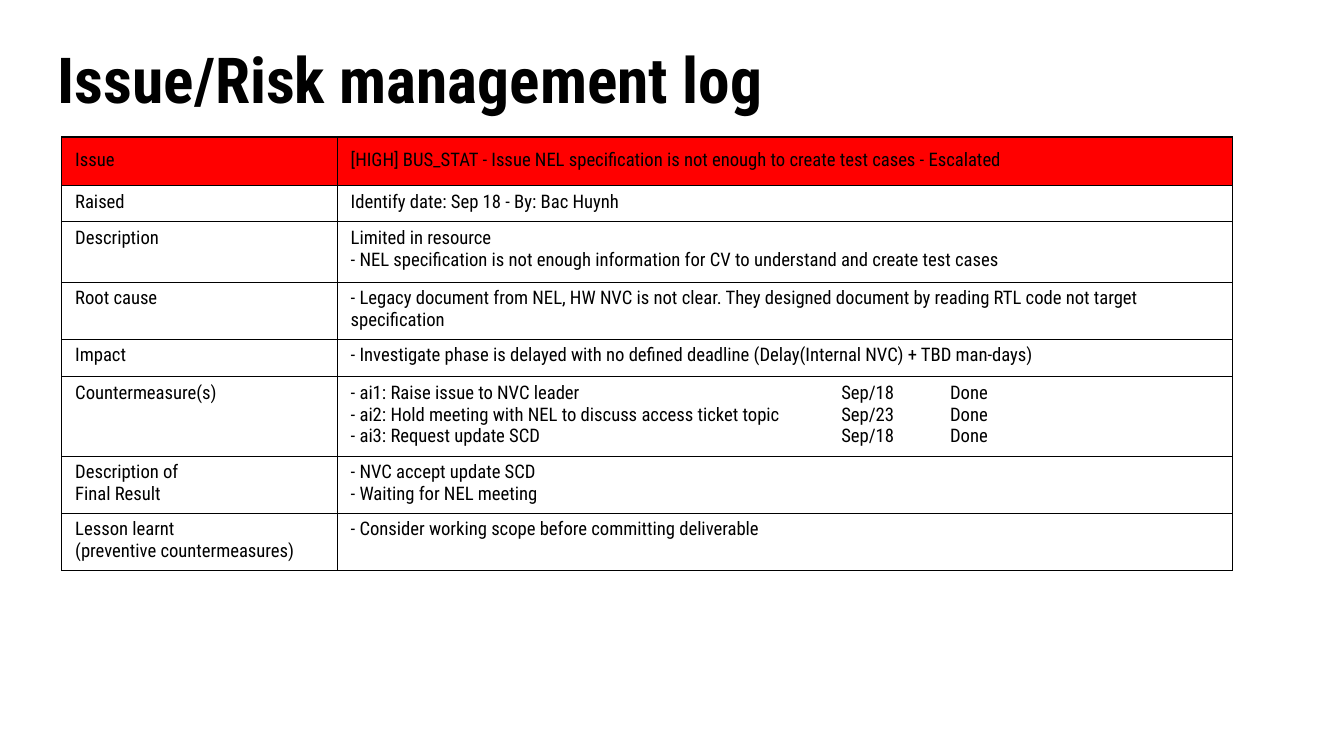
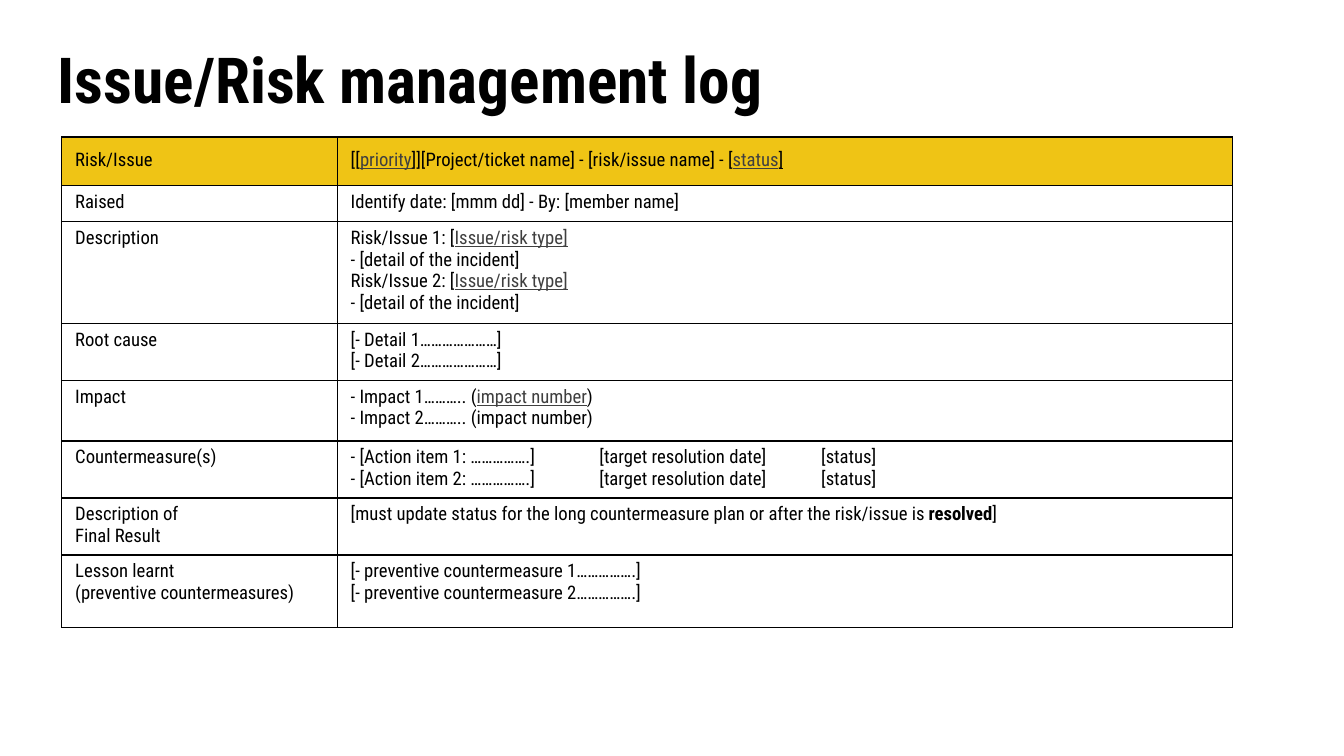
"""Build two issue and risk log slides."""
from dataclasses import dataclass
from typing import NamedTuple

import lxml.etree
import pptx
import pptx.dml.color
import pptx.enum.text
import pptx.oxml.ns
import pptx.util

Inches = pptx.util.Inches
Pt = pptx.util.Pt
Color = pptx.dml.color.RGBColor
Anchor = pptx.enum.text.MSO_ANCHOR
qn = pptx.oxml.ns.qn

BLACK = Color(0x00, 0x00, 0x00)
WHITE = Color(0xFF, 0xFF, 0xFF)
RED = Color(0xFF, 0x00, 0x00)
GOLD = Color(0xEF, 0xC4, 0x15)
GREY = Color(0x3F, 0x3F, 0x3F)
FONT = "Roboto Condensed"
TITLE = "Issue/Risk management log"
WIDE = Inches(10)
COLS = (Inches(2.05), Inches(6.66))
EDGE = Pt(0.75)


class Span(NamedTuple):
    """A piece of text with its own look."""

    text: str
    color: Color = BLACK
    line: bool = False
    bold: bool = False


Line = tuple[Span, ...]
BREAK = Span("\n")


def plain(*texts: str) -> tuple[Line, ...]:
    """Make one unstyled line of each text."""
    return tuple((Span(text),) for text in texts)


def stack(*lines: Line) -> tuple[Line, ...]:
    """Join lines into one paragraph with line breaks."""
    spans = [span for line in lines for span in (BREAK, *line)]
    return (tuple(spans[1:]),)


def link(text: str) -> Span:
    """Make a grey underlined span."""
    return Span(text, GREY, True)


@dataclass(frozen=True)
class Entry:
    """A row of the log: height, label and body lines."""

    height: float
    label: tuple[Line, ...]
    body: tuple[Line, ...]


@dataclass(frozen=True)
class Log:
    """A slide: header colour, header label, tabs, heights and bodies."""

    band: Color
    head: str
    tabs: tuple[float, ...]
    sizes: tuple[float, ...]
    bodies: tuple[tuple[Line, ...], ...]

    def rows(self) -> list[Entry]:
        """Join the labels with the heights and bodies."""
        labels = (plain(self.head), *LABELS)
        return [Entry(*row) for row in zip(self.sizes, labels, self.bodies)]


LABELS = (
    plain("Raised"),
    plain("Description"),
    plain("Root cause"),
    plain("Impact"),
    plain("Countermeasure(s)"),
    plain("Description of", "Final Result"),
    plain("Lesson learnt", "(preventive countermeasures)"),
)

DETAIL = tuple(
    line
    for num in (1, 2)
    for line in (
        (Span(f"Risk/Issue {num}: ["), link("Issue/risk type]")),
        (Span("- [detail of the incident]"),),
    )
)

LOGS = (
    Log(
        RED,
        "Issue",
        (3.65, 4.46),
        (0.36, 0.27, 0.45, 0.4, 0.28, 0.32, 0.41, 0.38),
        (
            plain("[HIGH] BUS_STAT - Issue NEL specification is not enough "
                  "to create test cases - Escalated"),
            plain("Identify date: Sep 18 - By: Bac Huynh"),
            plain("Limited in resource",
                  "- NEL specification is not enough information for CV "
                  "to understand and create test cases"),
            plain("- Legacy document from NEL, HW NVC is not clear. They designed "
                  "document by reading RTL code not target specification"),
            plain("- Investigate phase is delayed with no defined deadline "
                  "(Delay(Internal NVC) + TBD man-days)"),
            plain("- ai1: Raise issue to NVC leader\tSep/18\tDone",
                  "- ai2: Hold meeting with NEL to discuss access ticket topic"
                  "\tSep/23\tDone",
                  "- ai3: Request update SCD\tSep/18\tDone"),
            plain("- NVC accept update SCD", "- Waiting for NEL meeting"),
            plain("- Consider working scope before committing deliverable"),
        ),
    ),
    Log(
        GOLD,
        "Risk/Issue",
        (1.85, 3.5),
        (0.36, 0.27, 0.71, 0.4, 0.45, 0.4, 0.41, 0.54),
        (
            ((Span("[["), link("priority"),
              Span("]][Project/ticket name] - [risk/issue name] - ["),
              link("status"), Span("]", line=True)),),
            plain("Identify date: [mmm dd] - By: [member name]"),
            stack(*DETAIL),
            plain(*(f"[- Detail {num}…………………]" for num in (1, 2))),
            ((Span("- Impact 1……….. ("), link("impact number"), Span(")")),
             (Span("- Impact 2……….. (impact number)"),)),
            stack(*plain(*(
                f"- [Action item {num}: …………….]\t[target resolution date]\t[status]"
                for num in (1, 2)))),
            ((Span("[must update status for the long countermeasure plan "
                   "or after the risk/issue is "),
              Span("resolved", bold=True), Span("]")),),
            plain(*(f"[- preventive countermeasure {num}…………….]" for num in (1, 2))),
        ),
    ),
)


def add_title(slide: pptx.slide.Slide) -> None:
    """Write the shared title."""
    box = slide.shapes.add_textbox(Inches(0.36), Inches(0.21), Inches(9.28), Inches(0.81))
    frame = box.text_frame
    frame.word_wrap = True
    frame.vertical_anchor = Anchor.MIDDLE
    frame.margin_left = frame.margin_right = Inches(0.07)
    frame.margin_top = frame.margin_bottom = Inches(0.04)
    para = frame.paragraphs[0]
    para.text = TITLE
    para.line_spacing = 0.9
    para.font.name, para.font.size = FONT, Pt(34)
    para.font.bold = True
    para.font.color.rgb = BLACK


def set_tabs(para: pptx.text.text._Paragraph, tabs: tuple[float, ...]) -> None:
    """Give a paragraph left tab stops."""
    props = para._p.get_or_add_pPr()
    stops = lxml.etree.SubElement(props, qn("a:tabLst"))
    for tab in tabs:
        lxml.etree.SubElement(stops, qn("a:tab"), pos=str(Inches(tab)), algn="l")


def set_edges(cell: pptx.table._Cell) -> None:
    """Draw a thin black line on each side of a cell."""
    props = cell._tc.get_or_add_tcPr()
    for side in ("a:lnL", "a:lnR", "a:lnT", "a:lnB"):
        edge = lxml.etree.SubElement(props, qn(side), w=str(EDGE))
        fill = lxml.etree.SubElement(edge, qn("a:solidFill"))
        lxml.etree.SubElement(fill, qn("a:srgbClr"), val=str(BLACK))


def add_span(para: pptx.text.text._Paragraph, span: Span) -> None:
    """Append a styled run or a line break."""
    if span == BREAK:
        para.add_line_break()
        return
    run = para.add_run()
    run.text = span.text
    run.font.color.rgb = span.color
    run.font.bold = span.bold
    if span.line:
        run.font.underline = True


def fill_cell(cell: pptx.table._Cell, lines: tuple[Line, ...], fill: Color,
              tabs: tuple[float, ...]) -> None:
    """Style a cell and write its lines."""
    set_edges(cell)
    cell.fill.solid()
    cell.fill.fore_color.rgb = fill
    cell.margin_left = cell.margin_right = Inches(0.1)
    cell.margin_top, cell.margin_bottom = Inches(0.04), Inches(0.05)
    frame = cell.text_frame
    for num, line in enumerate(lines):
        para = frame.paragraphs[0] if num == 0 else frame.add_paragraph()
        if any("\t" in span.text for span in line):
            set_tabs(para, tabs)
        para.font.name, para.font.size = FONT, Pt(10)
        for span in line:
            add_span(para, span)


def add_log(slide: pptx.slide.Slide, log: Log) -> None:
    """Draw the table of a log."""
    rows = log.rows()
    frame = slide.shapes.add_table(len(rows), len(COLS), Inches(0.46), Inches(1.02),
                                   sum(COLS), Inches(sum(log.sizes)))
    table = frame.table
    table.first_row = table.horz_banding = False
    for col, width in zip(table.columns, COLS):
        col.width = width
    for num, entry in enumerate(rows):
        table.rows[num].height = Inches(entry.height)
        for col, lines in enumerate((entry.label, entry.body)):
            cell = table.cell(num, col)
            fill_cell(cell, lines, WHITE if num else log.band, log.tabs)
            cell.vertical_anchor = Anchor.TOP if num else Anchor.MIDDLE


def main() -> None:
    """Build and save the deck."""
    deck = pptx.Presentation()
    deck.slide_width, deck.slide_height = WIDE, WIDE * 9 // 16
    for log in LOGS:
        slide = deck.slides.add_slide(deck.slide_layouts[6])
        add_title(slide)
        add_log(slide, log)
    deck.save("out.pptx")


if __name__ == "__main__":
    main()
